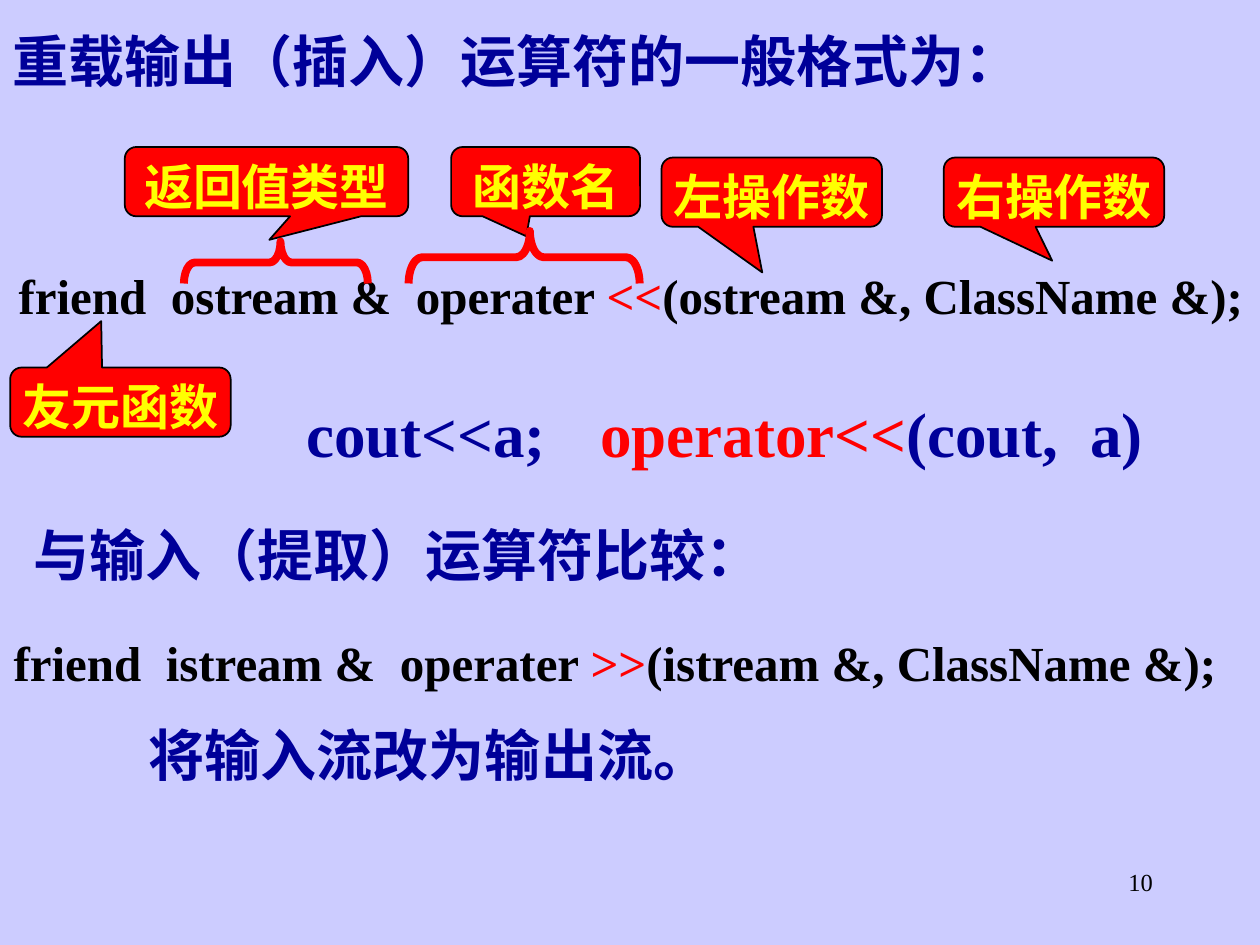
from pptx import Presentation
from pptx.dml.color import RGBColor
from pptx.enum.shapes import MSO_SHAPE
from pptx.enum.text import MSO_ANCHOR, MSO_AUTO_SIZE, PP_ALIGN
from pptx.util import Pt

NAVY, RED, YELLOW, BLACK, LAVENDER = "000099", "FF0000", "FFFF00", "000000", "CCCCFF"


def color(hex_value):
    return RGBColor.from_string(hex_value)


def apply(target, values):
    for name, value in values.items():
        setattr(target, name, value)


class SlideBuilder:
    font_name = "Times New Roman"

    def __init__(self, slide):
        self.slide = slide
        slide.background.fill.solid()
        slide.background.fill.fore_color.rgb = color(LAVENDER)

    def fill_text(self, frame, runs, size, bold=True, paragraph_format=None, frame_format=None):
        apply(frame, {"word_wrap": True, "auto_size": MSO_AUTO_SIZE.SHAPE_TO_FIT_TEXT,
                      "vertical_anchor": MSO_ANCHOR.TOP, **(frame_format or {})})
        paragraph = frame.paragraphs[0]
        apply(paragraph, paragraph_format or {})
        for words, hue in runs:
            run = paragraph.add_run()
            run.text = words
            apply(run.font, {"name": self.font_name, "size": Pt(size), "bold": bold})
            run.font.color.rgb = color(hue)

    def text(self, box, runs, size, **formats):
        frame = self.slide.shapes.add_textbox(*map(Pt, box)).text_frame
        self.fill_text(frame, runs, size, **formats)

    def shape(self, preset, box, adjustments, line, width):
        shape = self.slide.shapes.add_shape(preset, *map(Pt, box))
        shape.shadow.inherit = False
        for index, value in enumerate(adjustments):
            shape.adjustments[index] = value
        shape.line.color.rgb = color(line)
        shape.line.width = Pt(width)
        return shape

    def callout(self, left, top, width, label, tip):
        shape = self.shape(MSO_SHAPE.ROUNDED_RECTANGULAR_CALLOUT, (left, top, width, 39.6),
                           (*tip, 0.167), BLACK, 1)
        shape.fill.solid()
        shape.fill.fore_color.rgb = color(RED)
        margins = {"margin_left": Pt(1.5), "margin_right": Pt(1.5),
                   "margin_top": 0, "margin_bottom": 0}
        self.fill_text(shape.text_frame, [(label, YELLOW)], 28, frame_format=margins,
                       paragraph_format={"alignment": PP_ALIGN.CENTER, "line_spacing": 1.1})

    def brace(self, left, top, span, depth):
        # A left brace turned a quarter, so the box is given before turning
        box = (left + (span - depth) / 2, top + (depth - span) / 2, depth, span)
        shape = self.shape(MSO_SHAPE.LEFT_BRACE, box, (0.26, 0.475), RED, 4.5)
        shape.fill.background()
        shape.rotation = 90

    def heading(self, left, top, width, height, words, **formats):
        self.text((left, top, width, height), [(words, NAVY)], 32, **formats)

    def declaration(self, left, top, width, stream, operator):
        runs = [(f"friend  {stream} &  operater ", BLACK), (operator, RED),
                (f"({stream} &, ClassName &);", BLACK)]
        self.text((left, top, width, 51), runs, 28, paragraph_format={"line_spacing": 1.3},
                  frame_format={"word_wrap": False})


def main():
    presentation = Presentation()
    apply(presentation, {"slide_width": Pt(720), "slide_height": Pt(540)})
    builder = SlideBuilder(presentation.slides.add_slide(presentation.slide_layouts[6]))

    # Slide number
    builder.text((516, 492, 150, 36), [("10", BLACK)], 14, bold=False,
                 paragraph_format={"alignment": PP_ALIGN.RIGHT},
                 frame_format={"auto_size": MSO_AUTO_SIZE.NONE})

    # Output operator: declaration with its parts explained
    builder.heading(0, 0, 702, 57.6, "重载输出（插入）运算符的一般格式为：",
                    paragraph_format={"line_spacing": 1.3})
    builder.declaration(3.6, 138.2, 715.7, "ostream", "<<")
    for left, top, width, label, tip in (
        (5.8, 210, 126, "友元函数", (-0.087, -1.169)),
        (71.3, 84, 162, "返回值类型", (0.01, 0.84)),
        (257.8, 84, 108, "函数名", (-0.102, 0.789)),
        (378, 90, 126, "左操作数", (-0.043, 1.159)),
        (539.3, 90, 126, "右操作数", (-0.008, 0.989)),
    ):
        builder.callout(left, top, width, label, tip)
    builder.brace(105.1, 138, 105.1, 24)
    builder.brace(233.5, 132, 132, 30)

    # Example call in both notations
    builder.text((168, 222, 180, 50.4), [("cout<<a;", NAVY)], 36)
    builder.text((336, 222, 342, 50.4), [("operator<<", RED), ("(cout,  a)", NAVY)], 36)

    # Comparison with the input operator
    builder.heading(12, 294, 588, 46, "与输入（提取）运算符比较：")
    builder.declaration(0.7, 348, 702.7, "istream", ">>")
    builder.heading(78, 408, 390, 46, "将输入流改为输出流。")

    presentation.save("out.pptx")


if __name__ == "__main__":
    main()
